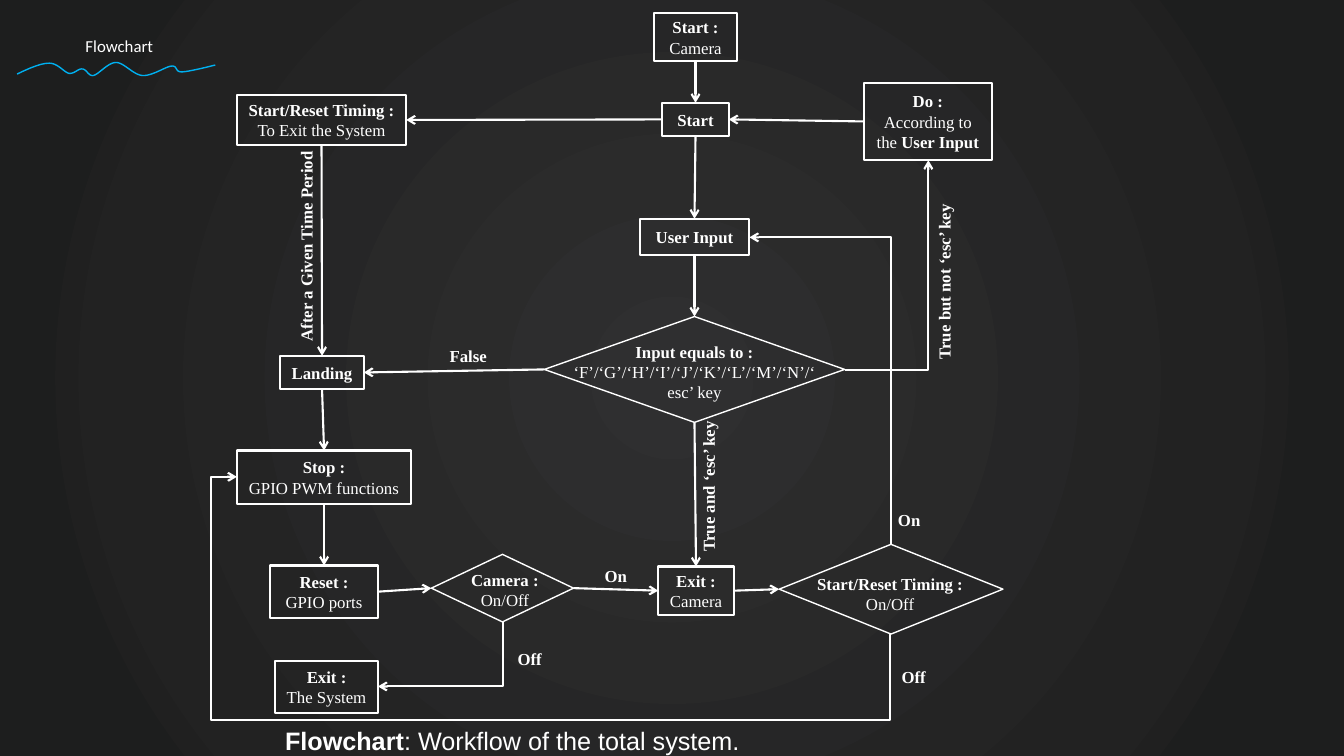
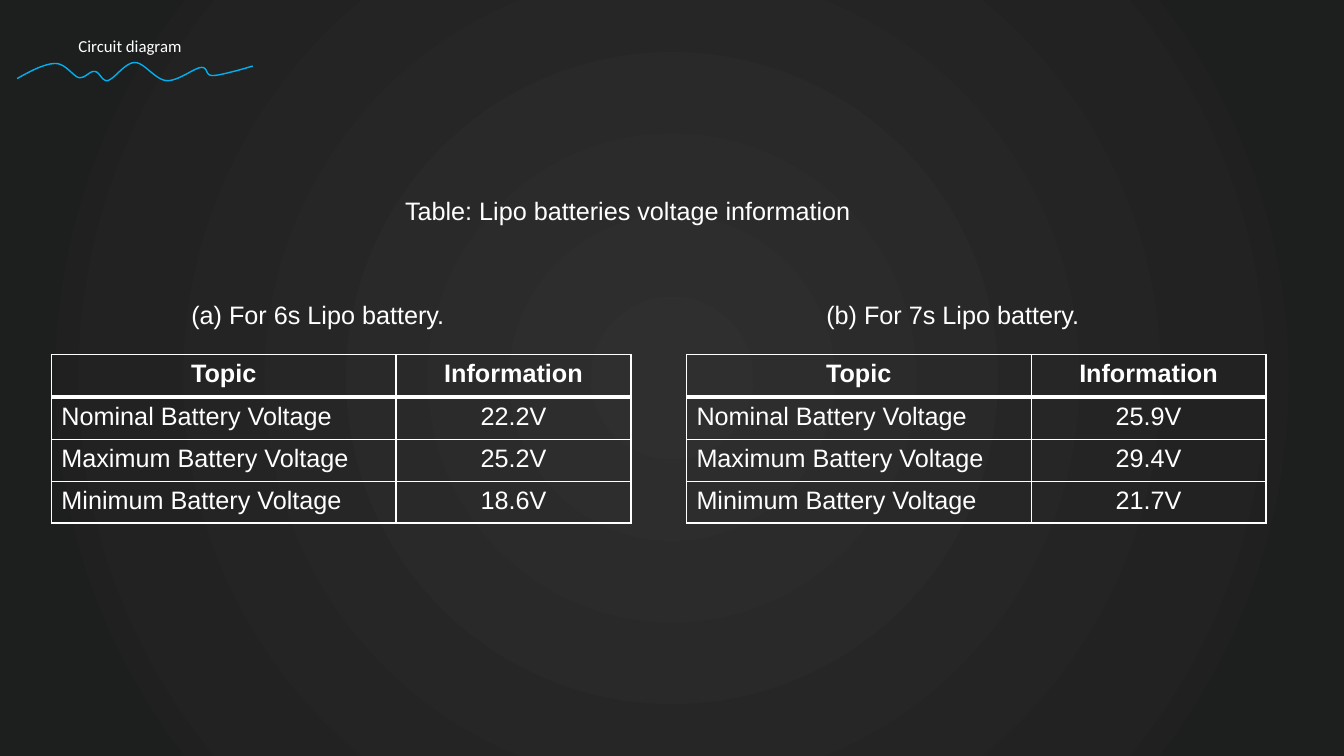
"""Build a flowchart slide and a battery voltage slide on one dark theme."""
from dataclasses import dataclass, field

from pptx import Presentation
from pptx.dml.color import RGBColor as Rgb
from pptx.enum.shapes import MSO_CONNECTOR as Con, MSO_SHAPE as Kind
from pptx.enum.text import MSO_ANCHOR as Anchor, PP_ALIGN as Align
from pptx.oxml import parse_xml as to_xml
from pptx.oxml.ns import nsdecls
from pptx.util import Pt

PX = 9144
NS = nsdecls("a")


@dataclass(frozen=True)
class Theme:
    ink: str = "FFFFFF"
    wave: str = "00B0F0"
    back: tuple = ((0, "2F2F30"), (74, "222222"), (83, "1D1E1E"), (100, "1D1E1E"))
    thin: float = 1
    line: float = 1.5
    rule: float = 3
    head: dict = field(default_factory=lambda: {"name": "Calibri", "size": Pt(12)})
    node: dict = field(default_factory=lambda: {"name": "Times New Roman", "size": Pt(12)})
    body: dict = field(default_factory=lambda: {"name": "Arial", "size": Pt(18)})


look = Theme()


def write(frame, text, style, align=Align.LEFT, anchor=Anchor.TOP):
    """Fill a frame; newlines part paragraphs and stars enclose bold words."""
    frame.word_wrap = True
    frame.vertical_anchor = anchor
    for i, row in enumerate(text.split("\n")):
        para = frame.add_paragraph() if i else frame.paragraphs[0]
        para.alignment = align
        for j, part in enumerate(row.split("*")):
            if part:
                run = para.add_run()
                run.text = part
                for key, val in {**style, "bold": j % 2 == 1}.items():
                    setattr(run.font, key, val)
                run.font.color.rgb = Rgb.from_string(look.ink)


def trace(shape, color, width):
    """Give an unfilled shape a plain outline without shadow."""
    shape.fill.background()
    shape.shadow.inherit = False
    shape.line.color.rgb = Rgb.from_string(color)
    shape.line.width = Pt(width)


deck = Presentation()
deck.slide_height = 750 * PX
deck.slide_width = deck.slide_height * 16 // 9

master = deck.slide_master
master.background.fill.solid()
stops = "".join(
    f'<a:gs pos="{pos * 1000}"><a:srgbClr val="{color}"/></a:gs>' for pos, color in look.back
)
solid = master.element.xpath("./p:cSld/p:bg/p:bgPr/a:solidFill")[0]
solid.getparent().replace(solid, to_xml(
    f'<a:gradFill {NS} rotWithShape="1"><a:gsLst>{stops}</a:gsLst><a:path path="circle">'
    '<a:fillToRect l="50000" t="50000" r="50000" b="50000"/></a:path></a:gradFill>'
))

wave = [
    (0, 16), (14, 8), (28, 1), (38, 1), (48, 1), (55, 13), (61, 15), (68, 16), (72, 8),
    (77, 9), (82, 9), (84, 19), (90, 18), (97, 16), (107, 0), (117, 0), (126, 0), (137, 17),
    (148, 18), (159, 19), (175, 6), (182, 5), (190, 4), (186, 13), (194, 13), (202, 13),
    (229, 5), (229, 5), (235, 3), (234, 4), (232, 4),
]
slides = []
for title, left, wide, sx, sy in [
    ("Flowchart", 75, 134, 0.84, 0.72),
    ("Circuit diagram", 68, 184, 1, 1),
]:
    slide = deck.slides.add_slide(deck.slide_layouts[6])
    slides.append(slide)
    box = slide.shapes.add_textbox(left * PX, 31 * PX, wide * PX, 30 * PX)
    write(box.text_frame, title, look.head)
    dots = [((17 + x * sx) * PX, (62 + y * sy) * PX) for x, y in wave]
    curve = []
    for k in range(0, len(dots) - 1, 3):
        for t in (n / 12 for n in range(1, 13)):
            mix = ((1 - t) ** 3, 3 * t * (1 - t) ** 2, 3 * t * t * (1 - t), t ** 3)
            curve.append([sum(m * dot[a] for m, dot in zip(mix, dots[k:k + 4])) for a in (0, 1)])
    path = slide.shapes.build_freeform(*dots[0])
    path.add_line_segments(curve, close=False)
    trace(path.convert_to_shape(), look.wave, look.thin)

flow, volts = slides

nodes = {}
for name, kind, text, *area in [
    ("camera", Kind.RECTANGLE, "*Start :*\nCamera", 649, 13, 82, 48),
    ("start", Kind.RECTANGLE, "*Start*", 657, 102, 66, 33),
    ("do", Kind.RECTANGLE, "*Do :*\nAccording to the *User Input*", 857, 82, 127, 77),
    ("timing", Kind.RECTANGLE, "*Start/Reset Timing :*\nTo Exit the System", 235, 94, 168, 50),
    ("input", Kind.RECTANGLE, "*User Input*", 635, 217, 108, 36),
    ("landing", Kind.RECTANGLE, "*Landing*", 278, 353, 83, 33),
    ("stop", Kind.RECTANGLE, "*Stop :*\nGPIO PWM functions", 235, 447, 173, 53),
    ("reset", Kind.RECTANGLE, "*Reset :*\nGPIO ports", 268, 561, 107, 52),
    ("exit", Kind.RECTANGLE, "*Exit :*\nCamera", 653, 562, 75, 48),
    ("system", Kind.RECTANGLE, "*Exit :*\nThe System", 273, 656, 102, 51),
    ("key", Kind.DIAMOND, "", 540, 314, 298, 105),
    ("power", Kind.DIAMOND, "", 428, 550, 141, 67),
    ("timer", Kind.DIAMOND, "", 773, 540, 222, 89),
]:
    node = flow.shapes.add_shape(kind, *(n * PX for n in area))
    trace(node, look.ink, look.line if text else look.thin)
    write(node.text_frame, text, look.node, Align.CENTER, Anchor.MIDDLE)
    nodes[name] = node

for text, turn, *area in [
    ("*Input equals to :*\n‘F’/‘G’/‘H’/‘I’/‘J’/‘K’/‘L’/‘M’/‘N’/‘esc’ key", 0, 558, 335, 262, 68),
    ("*Camera :*\nOn/Off", 0, 446, 562, 110, 46),
    ("*Start/Reset Timing :*\nOn/Off", 0, 799, 564, 168, 50),
    ("*False*", 0, 435, 337, 59, 33),
    ("*On*", 0, 879, 500, 46, 31),
    ("*On*", 0, 588, 556, 46, 31),
    ("*Off*", 0, 883, 656, 47, 31),
    ("*Off*", 0, 502, 638, 47, 31),
    ("*After a Given Time Period*", 270, 195, 228, 217, 33),
    ("*True but not ‘esc’ key*", 270, 847, 263, 179, 33),
    ("*True and ‘esc’ key*", 270, 623, 466, 159, 33),
]:
    label = flow.shapes.add_textbox(*(n * PX for n in area))
    label.rotation = turn
    write(label.text_frame, text, look.node, Align.CENTER, Anchor.MIDDLE)

arrows = []
for src, out, dest, into in [
    ("camera", 2, "start", 0),
    ("start", 2, "input", 0),
    ("start", 1, "timing", 3),
    ("do", 1, "start", 3),
    ("input", 2, "key", 0),
    ("key", 1, "landing", 3),
    ("key", 2, "exit", 0),
    ("timing", 2, "landing", 0),
    ("landing", 2, "stop", 0),
    ("stop", 2, "reset", 0),
    ("reset", 3, "power", 1),
    ("power", 3, "exit", 1),
    ("exit", 3, "timer", 1),
]:
    arrow = flow.shapes.add_connector(Con.STRAIGHT, 0, 0, 0, 0)
    arrow.begin_connect(nodes[src], out)
    arrow.end_connect(nodes[dest], into)
    arrows.append(arrow)

for left, top, wide, high, turn, flip, bends in [
    (661, 318, 305, 140, 270, "flipV", ()),
    (838, 159, 83, 208, 0, "flipV", ()),
    (405, 587, 64, 124, 90, "", ()),
    (481, 227, 156, 648, 90, "flipH", (-54900, 104000)),
]:
    arrow = flow.shapes.add_connector(
        Con.ELBOW, left * PX, top * PX, (left + wide) * PX, (top + high) * PX
    )
    props = arrow._element.spPr
    frame = props.find("{*}xfrm")
    frame.set("rot", str(turn * 60000))
    if flip:
        frame.set(flip, "1")
    guides = "".join(f'<a:gd name="adj{n}" fmla="val {v}"/>' for n, v in enumerate(bends, 1))
    shape = "bentConnector4" if bends else "bentConnector2"
    props.replace(props.find("{*}prstGeom"), to_xml(
        f'<a:prstGeom {NS} prst="{shape}"><a:avLst>{guides}</a:avLst></a:prstGeom>'
    ))
    arrows.append(arrow)

for arrow in arrows:
    arrow.line.color.rgb = Rgb.from_string(look.ink)
    arrow.line.width = Pt(look.line)
    props = arrow._element.spPr
    props.find("{*}ln").append(to_xml(f'<a:tailEnd {NS} type="arrow"/>'))
    props.append(to_xml(f"<a:effectLst {NS}/>"))

for slide, text, *area in [
    (flow, "*Flowchart*: Workflow of the total system.", 273, 715, 553, 40),
    (volts, "Table: Lipo batteries voltage information", 392, 189, 550, 40),
    (volts, "(a) For 6s Lipo battery.", 180, 292, 317, 40),
    (volts, "(b) For 7s Lipo battery.", 810, 292, 317, 40),
]:
    box = slide.shapes.add_textbox(*(n * PX for n in area))
    write(box.text_frame, text, look.body)

topics = ["Nominal Battery Voltage", "Maximum Battery Voltage", "Minimum Battery Voltage"]
for left, values in [(51, ["22.2V", "25.2V", "18.6V"]), (681, ["25.9V", "29.4V", "21.7V"])]:
    rows = [("*Topic*", "*Information*"), *zip(topics, values)]
    grid = volts.shapes.add_table(4, 2, left * PX, 352 * PX, 575 * PX, 167 * PX).table
    grid.first_row = grid.horz_banding = False
    for col, wide in zip(grid.columns, (342, 233)):
        col.width = wide * PX
    for row, high in zip(grid.rows, (42, 42, 42, 41)):
        row.height = high * PX
    for r, row in enumerate(rows):
        for c, text in enumerate(row):
            cell = grid.cell(r, c)
            cell.fill.background()
            align = Align.CENTER if r == 0 or c else Align.LEFT
            write(cell.text_frame, text, look.body, align)
            props = cell._tc.get_or_add_tcPr()
            for n, side in enumerate("LRTB"):
                thick = look.rule if (r, side) in ((0, "B"), (1, "T")) else look.thin
                props.insert(n, to_xml(
                    f'<a:ln{side} {NS} w="{Pt(thick)}"><a:solidFill>'
                    f'<a:srgbClr val="{look.ink}"/></a:solidFill></a:ln{side}>'
                ))

deck.save("out.pptx")
